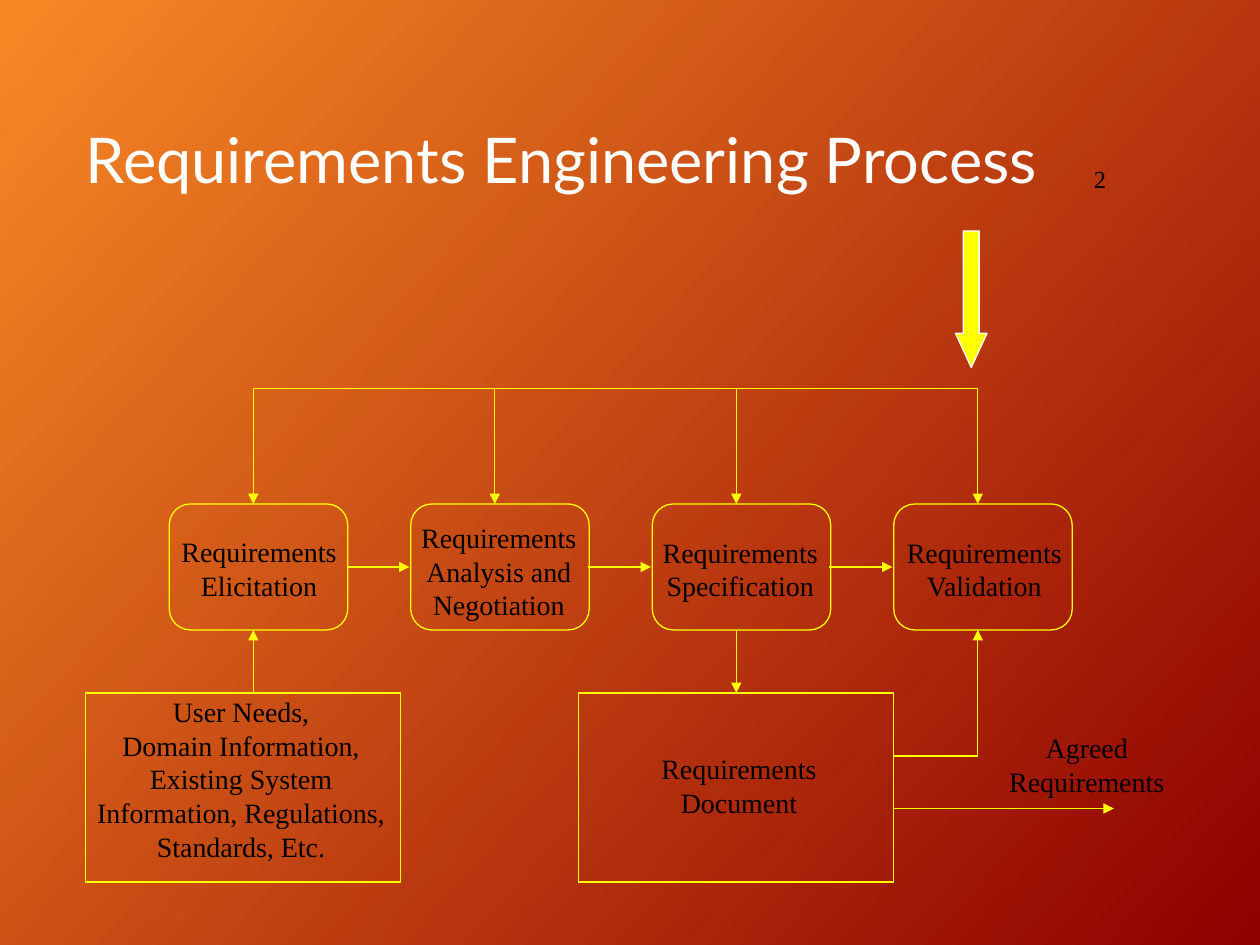
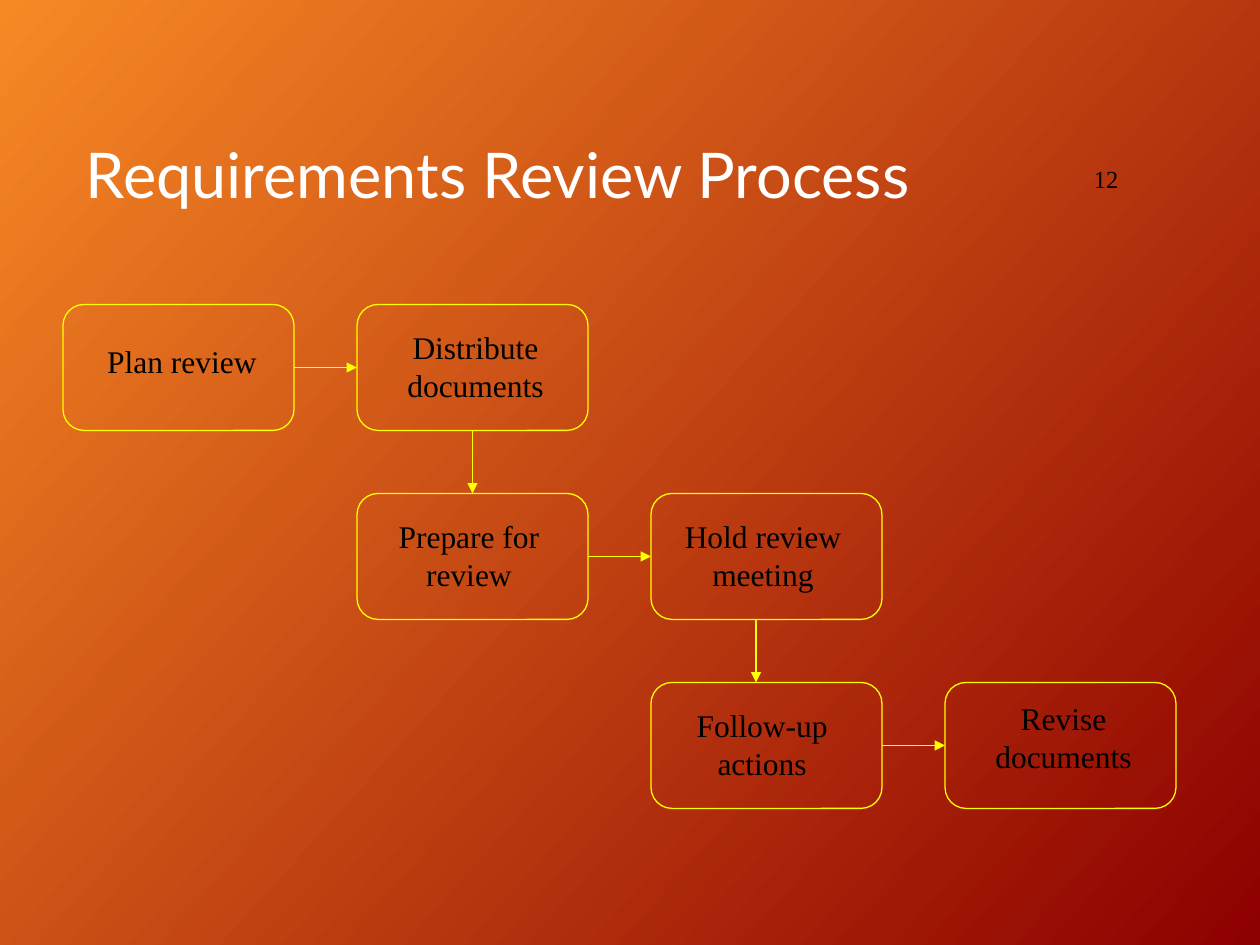
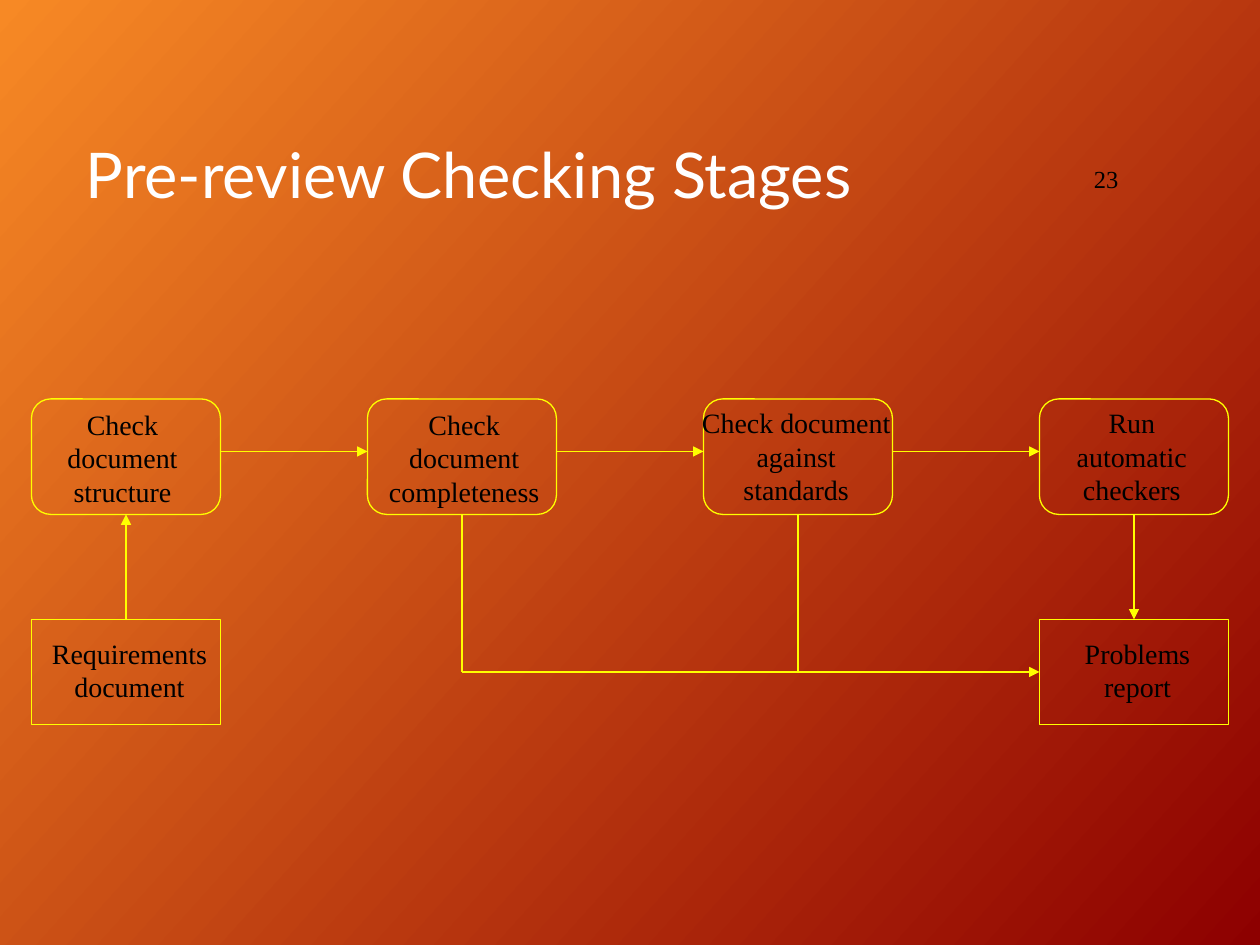
from dataclasses import dataclass

from lxml import etree
from pptx import Presentation
from pptx.dml.color import RGBColor
from pptx.enum import shapes, text
from pptx.oxml.ns import qn
from pptx.slide import Slide
from pptx.util import Pt


@dataclass(frozen=True)
class Theme:
    glow: str = "F78925"
    ember: str = "8D0000"
    outline: str = "FFFF00"
    white: str = "FFFFFF"
    ink: str = "000000"
    title_font: str = "Lato"
    body_font: str = "Times New Roman"
    title_size: float = 36
    number_size: float = 14
    step_size: float = 18
    stage_size: float = 16
    thin: float = 0.75
    medium: float = 1
    gradient_angle: float = 318
    corner: float = 0.167


@dataclass(frozen=True)
class Box:
    left: float
    top: float
    width: float
    height: float


@dataclass(frozen=True)
class Caption:
    words: str
    left: float
    top: float
    width: float


@dataclass(frozen=True)
class Flow:
    x1: float
    y1: float
    x2: float
    y2: float
    arrow: bool = True
    weight: float = 0.75


THEME = Theme()
NUMBER_BOX = Box(618, 59.25, 91.5, 85.5)
TITLE_BOX = Box(42, 59, 543, 85)
WIDE_TITLE_BOX = Box(42, 48, 642, 90)


def rgb(code: str) -> RGBColor:
    return RGBColor.from_string(code)


def place(box: Box) -> tuple:
    return Pt(box.left), Pt(box.top), Pt(box.width), Pt(box.height)


def add_text(slide: Slide, words: str, box: Box, *, size: float,
             font: str = THEME.body_font, color: str = THEME.ink,
             align=text.PP_ALIGN.LEFT, anchor=text.MSO_ANCHOR.MIDDLE,
             spacing: float = 1.0, wrap: bool = True) -> None:
    frame = slide.shapes.add_textbox(*place(box)).text_frame
    frame.text = words
    frame.word_wrap = wrap
    frame.vertical_anchor = anchor
    if not wrap:
        frame.auto_size = text.MSO_AUTO_SIZE.SHAPE_TO_FIT_TEXT
    for paragraph in frame.paragraphs:
        paragraph.alignment = align
        paragraph.line_spacing = spacing
        for run in paragraph.runs:
            run.font.name = font
            run.font.size = Pt(size)
            run.font.color.rgb = rgb(color)


def add_captions(slide: Slide, captions: list[Caption], size: float) -> None:
    for caption in captions:
        lines = caption.words.count("\n") + 1
        box = Box(caption.left, caption.top, caption.width, lines * size * 1.2 + 7.2)
        add_text(slide, caption.words, box, size=size, wrap=False,
                 align=text.PP_ALIGN.CENTER, anchor=text.MSO_ANCHOR.TOP)


def add_outline(slide: Slide, box: Box, kind=shapes.MSO_SHAPE.RECTANGLE,
                adjustments: tuple = (), fill: str = "",
                line: str = THEME.outline) -> None:
    shape = slide.shapes.add_shape(kind, *place(box))
    shape.shadow.inherit = False
    for index, value in enumerate(adjustments):
        shape.adjustments[index] = value
    if fill:
        shape.fill.solid()
        shape.fill.fore_color.rgb = rgb(fill)
    else:
        shape.fill.background()
    shape.line.color.rgb = rgb(line)
    shape.line.width = Pt(THEME.thin)


def add_stages(slide: Slide, stages: list[Box]) -> None:
    for stage in stages:
        add_outline(slide, stage, shapes.MSO_SHAPE.ROUNDED_RECTANGLE, (THEME.corner,))


def add_flows(slide: Slide, flows: list[Flow]) -> None:
    for flow in flows:
        connector = slide.shapes.add_connector(
            shapes.MSO_CONNECTOR.STRAIGHT,
            Pt(flow.x1), Pt(flow.y1), Pt(flow.x2), Pt(flow.y2))
        connector.line.color.rgb = rgb(THEME.outline)
        connector.line.width = Pt(flow.weight)
        properties = connector.element.spPr
        if flow.arrow:
            etree.SubElement(properties.find(qn("a:ln")), qn("a:tailEnd"), type="triangle")
        etree.SubElement(properties, qn("a:effectLst"))


def start_slide(deck, title: str, number: str, title_box: Box = TITLE_BOX) -> Slide:
    slide = deck.slides.add_slide(deck.slide_layouts[6])
    fill = slide.background.fill
    fill.gradient()
    fill.gradient_angle = THEME.gradient_angle
    for stop, color in zip(fill.gradient_stops, (THEME.glow, THEME.ember)):
        stop.color.rgb = rgb(color)
    add_text(slide, title, title_box, size=THEME.title_size, font=THEME.title_font,
             color=THEME.white, spacing=0.9)
    add_text(slide, number, NUMBER_BOX, size=THEME.number_size)
    return slide


def engineering_process(deck) -> None:
    slide = start_slide(deck, "Requirements Engineering Process", "2", WIDE_TITLE_BOX)
    pitch, top, bottom, bus, document_top = 138, 288, 360, 222, 396
    entries = [144.75 + pitch * i for i in range(4)]
    elicitation, _, specification, validation = entries
    add_stages(slide, [Box(96.75 + pitch * i, top, 102, bottom - top) for i in range(4)])
    for left in (48.75, 330.5):
        add_outline(slide, Box(left, document_top, 180, 108))
    add_flows(slide, [
        *(Flow(x, bus, x, top) for x in entries),
        Flow(elicitation, bus, validation, bus, arrow=False),
        *(Flow(198 + pitch * i, 324, 234 + pitch * i, 324, weight=THEME.medium)
          for i in range(3)),
        Flow(elicitation, document_top, elicitation, bottom),
        Flow(specification, bottom, specification, document_top),
        Flow(510.5, 462, 636.5, 462),
        Flow(510.5, 432, validation, 432, arrow=False),
        Flow(validation, 432, validation, bottom),
    ])
    add_captions(slide, [
        Caption("Requirements\nElicitation", 94.5, 302, 107),
        Caption("Requirements\nAnalysis and\nNegotiation", 231.5, 294, 107),
        Caption("Requirements\nSpecification", 369.5, 302.25, 107),
        Caption("Requirements\nValidation", 509, 302.25, 107),
        Caption("User Needs,\nDomain Information,\nExisting System\n"
                "Information, Regulations,\nStandards, Etc.", 45.75, 393.5, 184),
        Caption("Requirements\nDocument", 368.75, 426, 107),
        Caption("Agreed\nRequirements", 567.5, 414, 107),
    ], THEME.stage_size)
    add_outline(slide, Box(546, 132, 18, 78), shapes.MSO_SHAPE.DOWN_ARROW,
                (0.5, 1.083), THEME.outline, THEME.white)


def review_process(deck) -> None:
    slide = start_slide(deck, "Requirements Review Process", "12")
    across, down = 168, 108
    staircase = [(0, 0), (1, 0), (1, 1), (2, 1), (2, 2), (3, 2)]
    add_stages(slide, [Box(36 + across * column, 174 + down * row, 132, 72)
                       for column, row in staircase])
    add_flows(slide, [
        *(Flow(across * (i + 1), 210 + down * i, across * (i + 1) + 36, 210 + down * i)
          for i in range(3)),
        *(Flow(x, 246 + down * i, x, 282 + down * i) for i, x in enumerate((270, 432))),
    ])
    add_captions(slide, [
        Caption("Plan review", 51, 192, 106),
        Caption("Distribute\ndocuments", 221.75, 184, 100),
        Caption("Prepare for\nreview", 218, 292, 100),
        Caption("Hold review\nmeeting", 381, 292, 110),
        Caption("Follow-up\nactions", 387.5, 400, 96),
        Caption("Revise\ndocuments", 557.75, 396, 100),
    ], THEME.step_size)


def checking_stages(deck) -> None:
    slide = start_slide(deck, "Pre-review Checking Stages", "23")
    pitch, width, top, bottom, report_top, report_entry = 192, 108, 228, 294, 354, 384
    lefts = [18 + pitch * i for i in range(4)]
    structure, completeness, standards, checkers = [x + width / 2 for x in lefts]
    add_stages(slide, [Box(x, top, width, bottom - top) for x in lefts])
    for left in (lefts[0], lefts[-1]):
        add_outline(slide, Box(left, report_top, width, 60))
    add_flows(slide, [
        *(Flow(x + width, 258, x + pitch, 258) for x in lefts[:-1]),
        Flow(structure, report_top, structure, bottom),
        Flow(checkers, bottom, checkers, report_top),
        *(Flow(x, report_entry, x, bottom, arrow=False) for x in (completeness, standards)),
        Flow(completeness, report_entry, lefts[-1], report_entry),
    ])
    add_captions(slide, [
        Caption("Check\ndocument\nstructure", 27, 229.25, 86),
        Caption("Check\ndocument\ncompleteness", 211, 229.25, 108.5),
        Caption("Check document\nagainst\nstandards", 390, 228.25, 130),
        Caption("Run\nautomatic\ncheckers", 604, 228.25, 85.5),
        Caption("Requirements\ndocument", 20.5, 360, 107),
        Caption("Problems\nreport", 610.5, 360, 79),
    ], THEME.stage_size)


def main() -> None:
    deck = Presentation()
    deck.slide_width, deck.slide_height = Pt(720), Pt(540)
    engineering_process(deck)
    review_process(deck)
    checking_stages(deck)
    deck.save("out.pptx")


if __name__ == "__main__":
    main()
